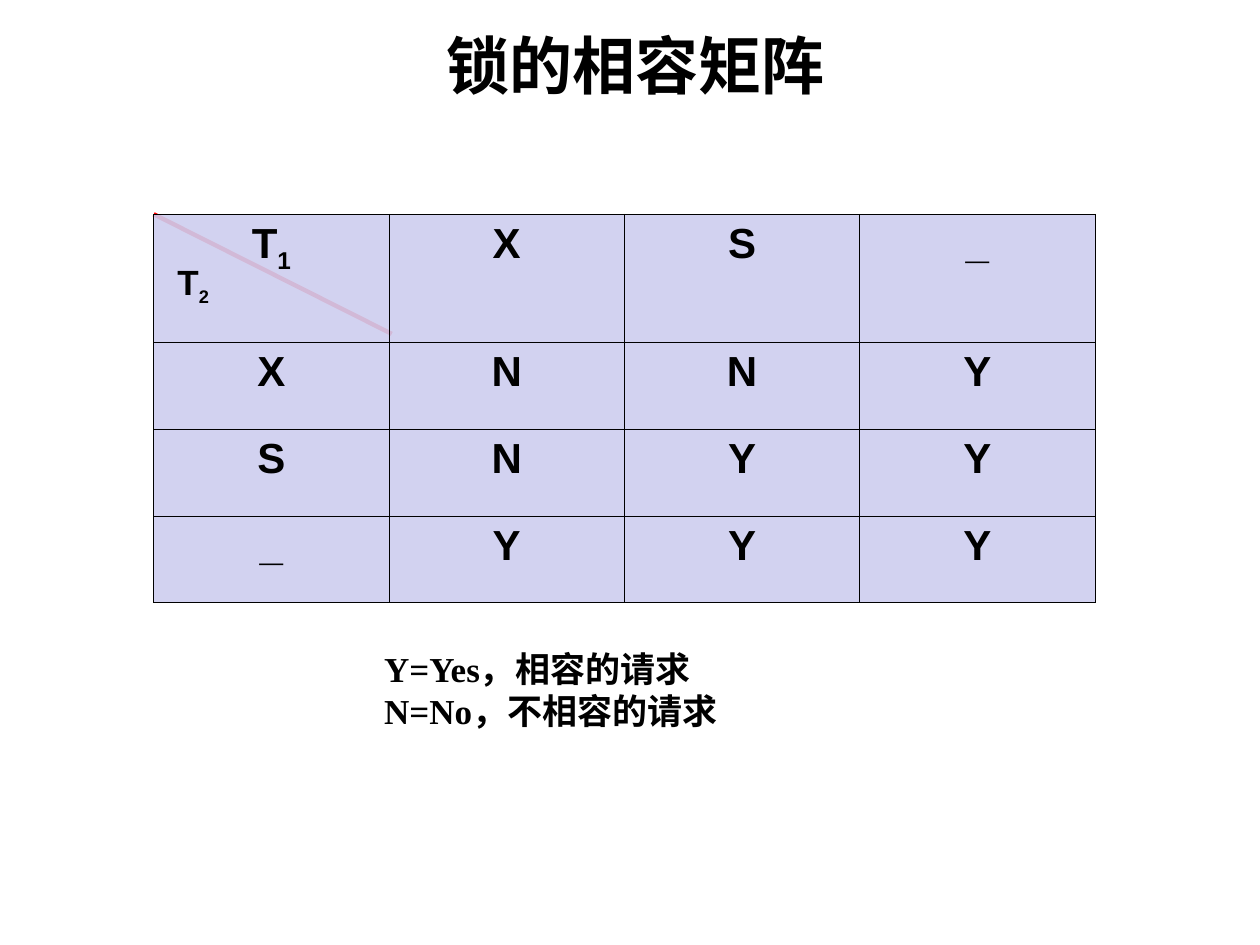
from lxml.etree import SubElement
from pptx import Presentation
from pptx.dml.color import RGBColor
from pptx.enum.shapes import MSO_CONNECTOR as Connector
from pptx.enum.text import MSO_ANCHOR as Anchor, MSO_AUTO_SIZE as AutoSize, PP_ALIGN as Align
from pptx.oxml.ns import qn
from pptx.util import Pt

COLORS = {"text": "000000", "border": "000000", "cell": "CECEEF", "diagonal": "FF0000"}
SANS, SERIF = "Arial", "Times New Roman"
LEFT, TOP, COLUMN_WIDTH = 87.84, 122.4, 134.5
ROW_HEIGHTS = [73, 49.7, 49.7, 49.7]
MATRIX = [
    ["T", "X", "S", "_"],
    ["X", "N", "N", "Y"],
    ["S", "N", "Y", "Y"],
    ["_", "Y", "Y", "Y"],
]


class SlideBuilder:
    """Hold the text style and the current slide, and add its elements."""

    def __init__(self, slide):
        self.slide = slide

    def color(self, name):
        return RGBColor.from_string(COLORS[name])

    def style(self, text_frame, size, font=SANS, align=Align.LEFT):
        for paragraph in text_frame.paragraphs:
            paragraph.alignment = align
            for run in paragraph.runs:
                run.font.size = Pt(size)
                run.font.name = font
                run.font.bold = True
                run.font.color.rgb = self.color("text")

    def subscript(self, text_frame, text, size):
        run = text_frame.paragraphs[0].add_run()
        run.text = text
        run.font.size = Pt(size)
        run.font.name = SANS
        run.font.bold = True
        run.font.color.rgb = self.color("text")
        run._r.get_or_add_rPr().set("baseline", "-25000")

    def title(self, text, left, top, width, height):
        title = self.slide.shapes.title
        title.left, title.top, title.width, title.height = map(Pt, (left, top, width, height))
        title.text_frame.text = text
        title.text_frame.vertical_anchor = Anchor.MIDDLE
        self.style(title.text_frame, 36, align=Align.CENTER)

    def text(self, text, left, top, width, height, font=SANS, wrap=True):
        box = self.slide.shapes.add_textbox(*map(Pt, (left, top, width, height)))
        frame = box.text_frame
        frame.text = text
        frame.word_wrap = wrap
        frame.auto_size = AutoSize.NONE if wrap else AutoSize.SHAPE_TO_FIT_TEXT
        self.style(frame, 20, font)
        return frame

    def line(self, left, top, right, bottom):
        line = self.slide.shapes.add_connector(Connector.STRAIGHT, *map(Pt, (left, top, right, bottom)))
        line.line.color.rgb = self.color("diagonal")
        line.line.width = Pt(2.5)
        SubElement(line._element.spPr, qn("a:effectLst"))

    def cell(self, cell, text):
        properties = cell._tc.get_or_add_tcPr()
        for side in ("lnL", "lnR", "lnT", "lnB"):
            border = SubElement(properties, qn(f"a:{side}"), w=str(Pt(0.45)))
            fill = SubElement(border, qn("a:solidFill"))
            SubElement(fill, qn("a:srgbClr"), val=COLORS["border"])
        cell.fill.solid()
        cell.fill.fore_color.rgb = self.color("cell")
        color = properties.find(qn("a:solidFill")).find(qn("a:srgbClr"))
        SubElement(color, qn("a:alpha"), val="90000")
        cell.text_frame.text = text
        self.style(cell.text_frame, 24, align=Align.CENTER)

    def table(self, rows, left, top, column_width, row_heights):
        columns = len(rows[0])
        size = (column_width * columns, sum(row_heights))
        frame = self.slide.shapes.add_table(len(rows), columns, *map(Pt, (left, top, *size)))
        table = frame.table
        table.first_row = table.horz_banding = False
        for column in table.columns:
            column.width = Pt(column_width)
        for row, height, values in zip(table.rows, row_heights, rows):
            row.height = Pt(height)
            for cell, value in zip(row.cells, values):
                self.cell(cell, value)
        return table


def main():
    presentation = Presentation()
    presentation.slide_width, presentation.slide_height = Pt(720), Pt(540)
    builder = SlideBuilder(presentation.slides.add_slide(presentation.slide_layouts[5]))

    builder.title("锁的相容矩阵", 72, 14.4, 581.8, 44.6)
    builder.text("Y=Yes，相容的请求\nN=No，不相容的请求", 212.4, 366.5, 221, 87, SERIF)
    builder.line(LEFT, TOP, 223.9, 190.8)
    matrix = builder.table(MATRIX, LEFT, TOP, COLUMN_WIDTH, ROW_HEIGHTS)
    builder.subscript(matrix.cell(0, 0).text_frame, "1", 24)
    row_label = builder.text("T", 94.3, 145.4, 32.4, 33.8, wrap=False)
    builder.subscript(row_label, "2", 18)

    presentation.save("out.pptx")


if __name__ == "__main__":
    main()
